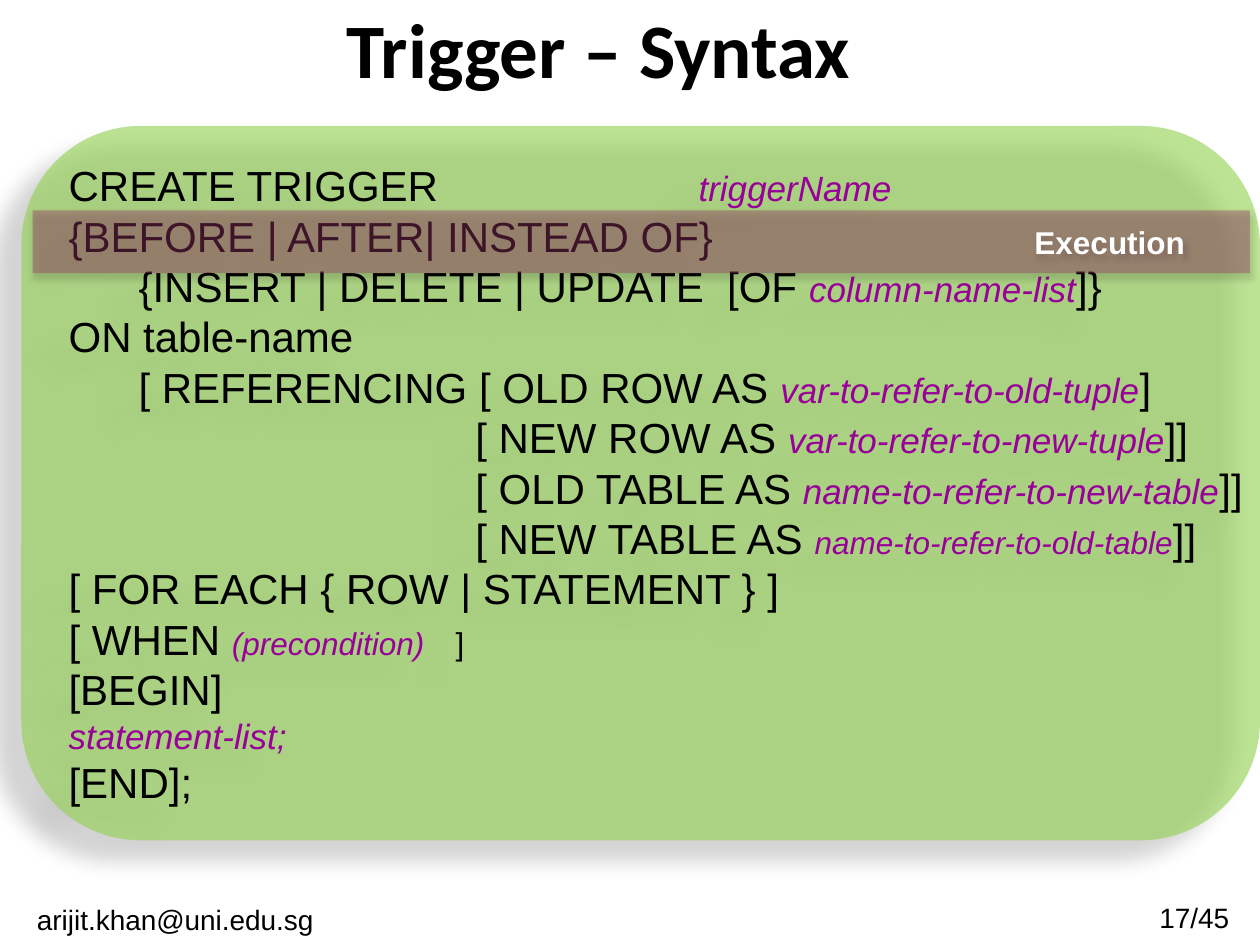
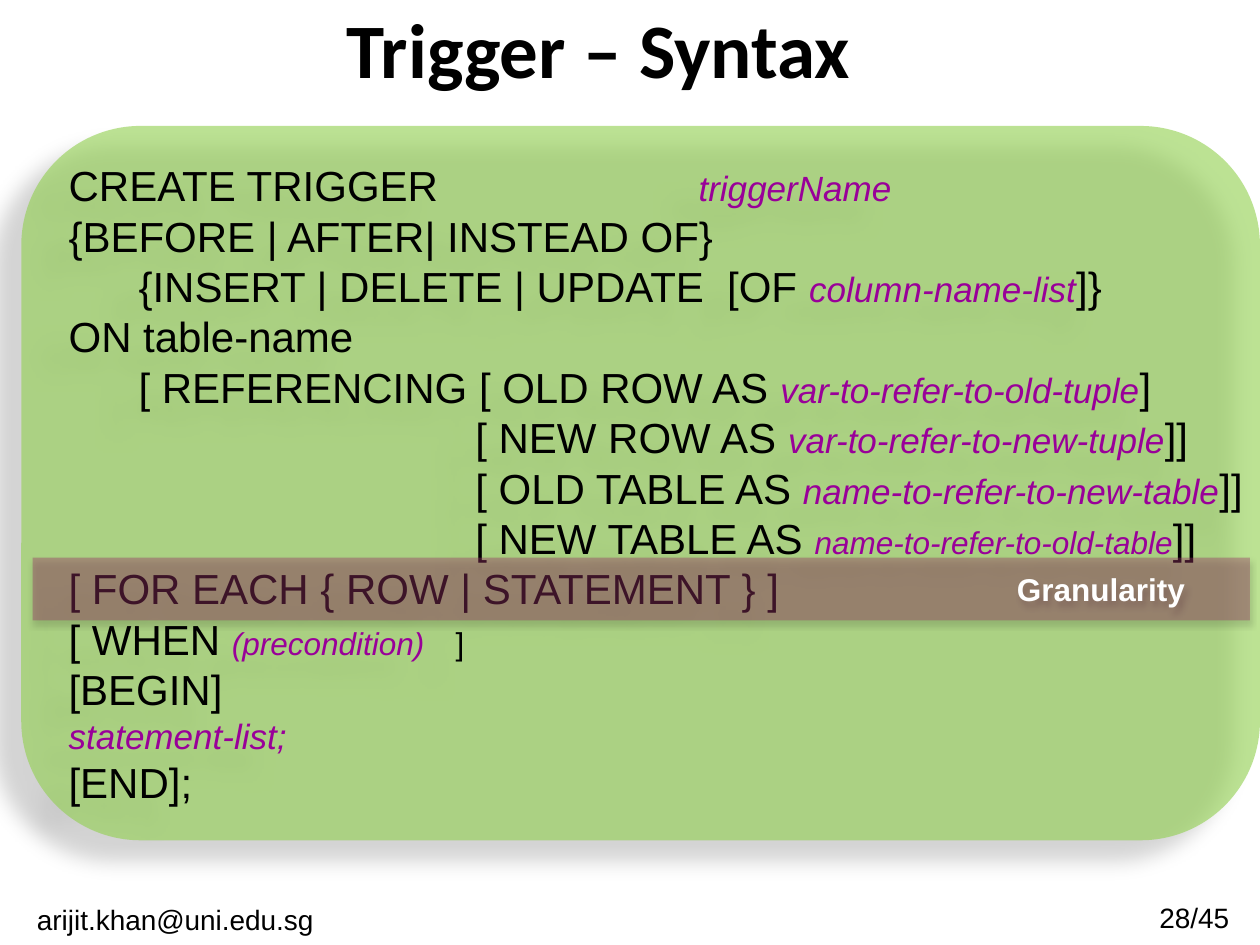
from lxml import etree
from pptx import Presentation
from pptx.dml.color import RGBColor
from pptx.enum import shapes, text
from pptx.oxml import ns
from pptx.util import Cm, Pt

BLACK = RGBColor(0x00, 0x00, 0x00)
WHITE = RGBColor(0xFF, 0xFF, 0xFF)
GREEN = RGBColor(0x92, 0xD0, 0x50)
PLUM = RGBColor(0x99, 0x33, 0x66)
PURPLE = RGBColor(0x99, 0x00, 0x99)

TITLE = "Trigger – Syntax"
MAIL = "arijit.khan@uni.edu.sg"
PANEL = (0.43, 2.54, 24.97, 14.4)
STEP = 1.41
DEEP = 8.2

SYNTAX = [
    (0, 12.7, [("CREATE TRIGGER\t", 24, BLACK), ("triggerName", 20, PURPLE)]),
    (0, 0, [("{BEFORE | AFTER| INSTEAD OF}", 24, BLACK)]),
    (STEP, 0, [("{INSERT | DELETE | UPDATE  [OF ", 24, BLACK),
               ("column-name-list", 20, PURPLE), ("]}", 24, BLACK)]),
    (0, 0, [("ON table-name", 24, BLACK)]),
    (STEP, 0, [("[ REFERENCING [ OLD ROW AS ", 24, BLACK),
               ("var-to-refer-to-old-tuple", 20, PURPLE), ("]", 24, BLACK)]),
    (DEEP, 0, [("[ NEW ROW AS ", 24, BLACK),
               ("var-to-refer-to-new-tuple", 20, PURPLE), ("]]", 24, BLACK)]),
    (DEEP, 0, [("[ OLD TABLE AS ", 24, BLACK),
               ("name-to-refer-to-new-table", 20, PURPLE), ("]]", 24, BLACK)]),
    (DEEP, 0, [("[ NEW TABLE AS ", 24, BLACK),
               ("name-to-refer-to-old-table", 18, PURPLE), ("]]", 24, BLACK)]),
    (0, 0, [("[ FOR EACH { ROW | STATEMENT } ]", 24, BLACK)]),
    (0, 7.8, [("[ WHEN ", 24, BLACK), ("(precondition)\t", 18, PURPLE),
              ("]", 18, BLACK)]),
    (0, 0, [("[BEGIN]", 24, BLACK)]),
    (0, 0, [("statement-list;", 20, PURPLE)]),
    (0, 0, [("[END];", 24, BLACK)]),
]

PAGES = [("17/45", 1, "Execution"), ("28/45", 8, "Granularity")]


def style(run, size, color, face="Arial", bold=False, slant=False):
    font = run.font
    font.name, font.size = face, Pt(size)
    font.bold, font.italic = bold, slant
    font.color.rgb = color


def add_label(slide, box, words, size, face="Arial", bold=False):
    frame = slide.shapes.add_textbox(*map(Cm, box)).text_frame
    frame.word_wrap = True
    frame.text = words
    para = frame.paragraphs[0]
    para.alignment = text.PP_ALIGN.CENTER
    style(para.runs[0], size, BLACK, face, bold)
    return frame


def add_glass(slide, kind, box, color, alpha, shade):
    shape = slide.shapes.add_shape(kind, *map(Cm, box))
    shape.fill.solid()
    shape.fill.fore_color.rgb = color
    shape.line.fill.background()
    shape.shadow.inherit = False
    props = shape._element.spPr
    tint = props.find(ns.qn("a:solidFill")).find(ns.qn("a:srgbClr"))
    etree.SubElement(tint, ns.qn("a:alpha"), val=str(alpha * 1000))
    depth, blur, dist, angle = shade
    cast = etree.SubElement(
        props.find(ns.qn("a:effectLst")), ns.qn("a:outerShdw"),
        blurRad=str(Pt(blur)), dist=str(Pt(dist)), dir=str(angle * 60000),
        algn="ctr", rotWithShape="0")
    dark = etree.SubElement(cast, ns.qn("a:srgbClr"), val=str(BLACK))
    etree.SubElement(dark, ns.qn("a:alpha"), val=str(depth * 1000))
    shape.text_frame.vertical_anchor = text.MSO_ANCHOR.MIDDLE
    return shape


def set_gaps(para, indent, stop):
    props = para._p.get_or_add_pPr()
    if indent:
        props.set("marL", str(Cm(indent)))
        props.set("indent", "0")
    if stop:
        tabs = etree.SubElement(props, ns.qn("a:tabLst"))
        etree.SubElement(tabs, ns.qn("a:tab"), pos=str(Cm(stop)), algn="l")


def add_panel(slide, box):
    panel = add_glass(slide, shapes.MSO_SHAPE.ROUNDED_RECTANGLE, box,
                      GREEN, 61, (28, 11.8, 19.7, 141))
    panel.adjustments[0] = 0.167
    frame = panel.text_frame
    frame.word_wrap = False
    for i, (indent, stop, parts) in enumerate(SYNTAX):
        para = frame.add_paragraph() if i else frame.paragraphs[0]
        para.alignment = text.PP_ALIGN.LEFT
        set_gaps(para, indent, stop)
        for words, size, color in parts:
            run = para.add_run()
            run.text = words
            style(run, size, color, slant=color == PURPLE)


def add_band(slide, box, row, words):
    left, top, width, _ = box
    place = (left + 0.23, top + 0.7 + row, width - 0.43, 1.27)
    band = add_glass(slide, shapes.MSO_SHAPE.RECTANGLE, place,
                     PLUM, 40, (32, 3.5, 2.2, 90))
    frame = band.text_frame
    frame.word_wrap = True
    frame.margin_right = Cm(1.31)
    frame.text = words
    para = frame.paragraphs[0]
    para.alignment = text.PP_ALIGN.RIGHT
    style(para.runs[0], 18, WHITE, bold=True)


def add_page(deck, number, row, words):
    slide = deck.slides.add_slide(deck.slide_layouts[6])
    head = add_label(slide, (0.64, 0, 22.86, 1.91), TITLE, 44, "Calibri", True)
    head.vertical_anchor = text.MSO_ANCHOR.MIDDLE
    add_label(slide, (22.6, 18.03, 2.95, 0.99), number, 16)
    add_label(slide, (0.13, 18.06, 6.81, 0.99), MAIL, 16)
    add_panel(slide, PANEL)
    add_band(slide, PANEL, row, words)


def main():
    deck = Presentation()
    deck.slide_width, deck.slide_height = Cm(25.4), Cm(19.05)
    for page in PAGES:
        add_page(deck, *page)
    deck.save("out.pptx")


if __name__ == "__main__":
    main()
